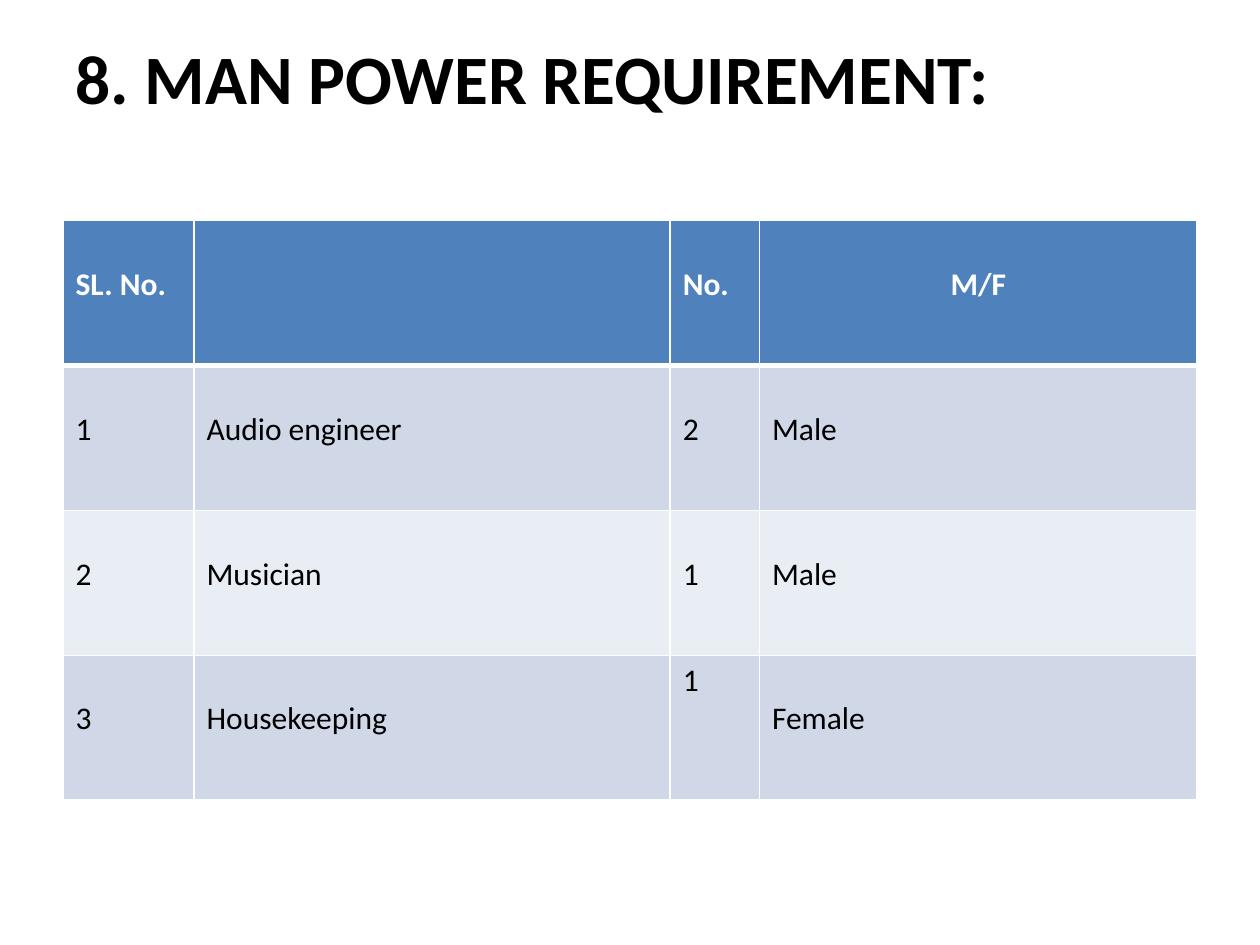
import pptx
import pptx.dml.color
import pptx.enum.text
import pptx.oxml
import pptx.oxml.ns
import pptx.util

Cm = pptx.util.Cm
Pt = pptx.util.Pt
RGBColor = pptx.dml.color.RGBColor
ALIGN = pptx.enum.text.PP_ALIGN
ANCHOR = pptx.enum.text.MSO_ANCHOR

WHITE = RGBColor(0xFF, 0xFF, 0xFF)
BLACK = RGBColor(0x00, 0x00, 0x00)
HEADER_BLUE = RGBColor(0x4F, 0x81, 0xBD)
BANDS = (RGBColor(0xD0, 0xD8, 0xE8), RGBColor(0xE9, 0xED, 0xF4))

STAFF = (
    ("SL. No.", "", "No.", "M/F"),
    ("1", "Audio engineer", "2", "Male"),
    ("2", "Musician", "1", "Male"),
    ("3", "Housekeeping", "1", "Female"),
)
COLUMN_WIDTHS = (Cm(2.64), Cm(9.6), Cm(1.8), Cm(8.82))
ROW_HEIGHT = Cm(2.92)
LOWERED, RAISED = Cm(0.9), Cm(0.13)


def apply(target, values):
    """Set each attribute named in values on the target."""
    for name, value in values.items():
        setattr(target, name, value)


def format_text(paragraph, size, color, bold, align=ALIGN.LEFT):
    """Give a paragraph its font and alignment."""
    paragraph.alignment = align
    apply(paragraph.font, {"name": "Calibri", "size": Pt(size), "bold": bold})
    paragraph.font.color.rgb = color


def set_borders(cell, widths):
    """Draw white cell borders, with widths in points by side."""
    properties = cell._tc.get_or_add_tcPr()
    for index, side in enumerate("LRTB"):
        border = pptx.oxml.parse_xml(
            f'<a:ln{side} {pptx.oxml.ns.nsdecls("a")} w="{Pt(widths[side])}">'
            f'<a:solidFill><a:srgbClr val="{WHITE}"/></a:solidFill></a:ln{side}>'
        )
        properties.insert(index, border)


def add_title(slide, text):
    """Fill and place the slide title."""
    title = slide.shapes.title
    apply(title, {"left": Cm(1.27), "top": Cm(0.76),
                  "width": Cm(22.86), "height": Cm(3.18)})
    frame = title.text_frame
    frame.text = text
    apply(frame, {"word_wrap": True, "vertical_anchor": ANCHOR.MIDDLE,
                  "auto_size": pptx.enum.text.MSO_AUTO_SIZE.NONE,
                  "margin_top": 0, "margin_bottom": Cm(1.6)})
    format_text(frame.paragraphs[0], 39.6, BLACK, True)


def fill_cell(cell, text, row, column):
    """Write one table cell and style it by its position."""
    header = row == 0
    last_count = (row, column) == (len(STAFF) - 1, 2)
    cell.text = text
    apply(cell, {"margin_top": RAISED if last_count else LOWERED,
                 "vertical_anchor": ANCHOR.TOP})
    format_text(cell.text_frame.paragraphs[0], 18,
                WHITE if header else BLACK, header,
                ALIGN.CENTER if header and column == 3 else ALIGN.LEFT)
    cell.fill.solid()
    cell.fill.fore_color.rgb = HEADER_BLUE if header else BANDS[(row - 1) % 2]
    set_borders(cell, {"L": 1, "R": 1, "T": 3 if row == 1 else 1,
                       "B": 3 if header else 1})


def add_staff_table(slide):
    """Add the table of required staff."""
    table = slide.shapes.add_table(
        len(STAFF), len(COLUMN_WIDTHS), Cm(1.27), Cm(4.45),
        sum(COLUMN_WIDTHS), ROW_HEIGHT * len(STAFF)).table
    for column, width in zip(table.columns, COLUMN_WIDTHS):
        column.width = width
    for row, entries in enumerate(STAFF):
        table.rows[row].height = ROW_HEIGHT
        for column, text in enumerate(entries):
            fill_cell(table.cell(row, column), text, row, column)


def main():
    """Build the manpower slide and save it."""
    deck = pptx.Presentation()
    apply(deck, {"slide_width": Cm(25.4), "slide_height": Cm(19.05)})
    slide = deck.slides.add_slide(deck.slide_layouts[5])
    add_title(slide, "8. MAN POWER REQUIREMENT:")
    add_staff_table(slide)
    deck.save("out.pptx")


main()
